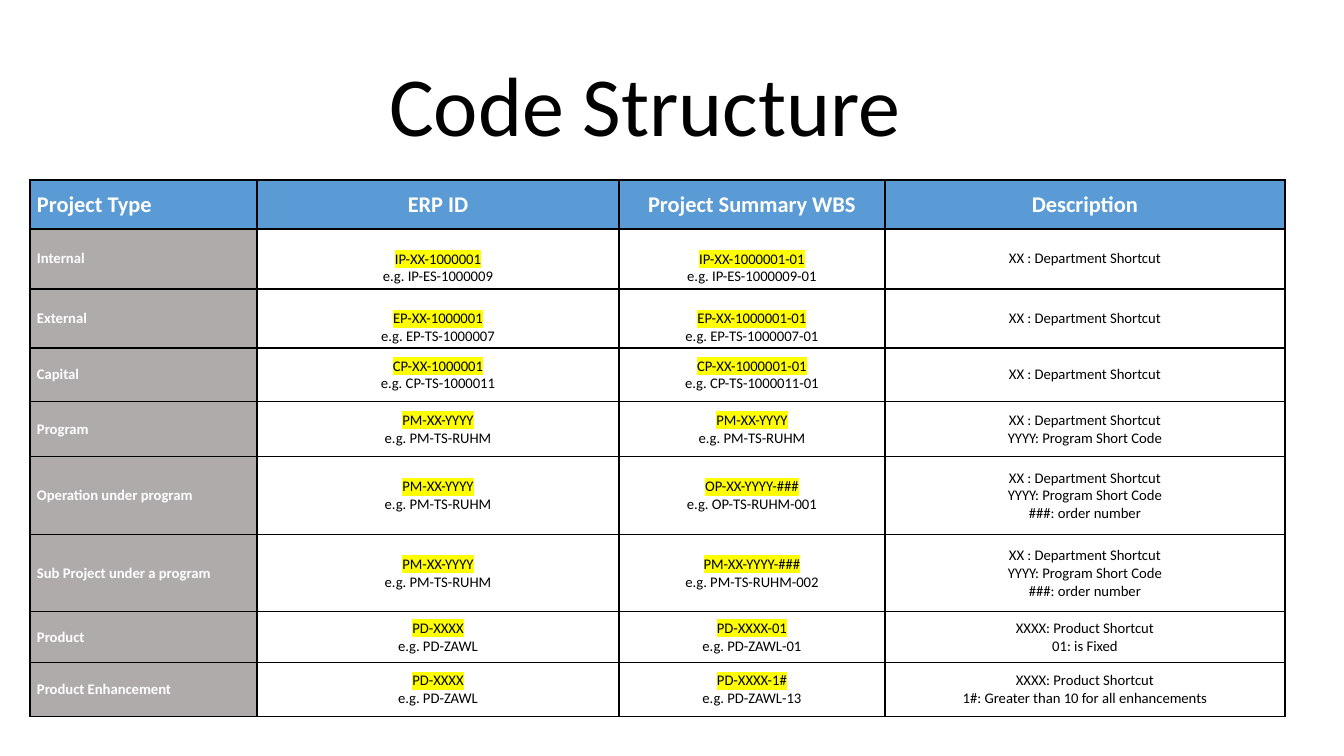
"""Build the Code Structure slide with its table of project codes."""
from lxml.etree import SubElement
from pptx import Presentation
from pptx.dml.color import RGBColor
from pptx.enum.text import MSO_ANCHOR as Anchor, MSO_AUTO_SIZE as AutoSize, PP_ALIGN as Align
from pptx.oxml.ns import qn
from pptx.util import Emu, Pt

BLACK = RGBColor(0x00, 0x00, 0x00)
WHITE = RGBColor(0xFF, 0xFF, 0xFF)
BLUE = RGBColor(0x5B, 0x9B, 0xD5)
GREY = RGBColor(0xAF, 0xAB, 0xAB)
YELLOW = RGBColor(0xFF, 0xFF, 0x00)

FONT = "Calibri"
SIDE_INSET = 7
LINE_HEIGHT = 18
COLUMN_WIDTHS = [227, 362, 266, 400]
ROW_HEIGHTS = [49, 60, 59, 54, 55, 78, 77, 51, 54]

HEADINGS = ["Project Type", "ERP ID", "Project Summary WBS", "Description"]
DEPARTMENT = "XX : Department Shortcut"
PROGRAM = "YYYY: Program Short Code"
ORDER = "###: order number"
PRODUCT = "XXXX: Product Shortcut"
PROJECTS = [
    ("Internal", ["IP-XX-1000001", "e.g. IP-ES-1000009"],
     ["IP-XX-1000001-01", "e.g. IP-ES-1000009-01"], [DEPARTMENT]),
    ("External", ["EP-XX-1000001", "e.g. EP-TS-1000007"],
     ["EP-XX-1000001-01", "e.g. EP-TS-1000007-01"], [DEPARTMENT]),
    ("Capital", ["CP-XX-1000001", "e.g. CP-TS-1000011"],
     ["CP-XX-1000001-01", "e.g. CP-TS-1000011-01"], [DEPARTMENT]),
    ("Program", ["PM-XX-YYYY", "e.g. PM-TS-RUHM"],
     ["PM-XX-YYYY", "e.g. PM-TS-RUHM"], [DEPARTMENT, PROGRAM]),
    ("Operation under program", ["PM-XX-YYYY", "e.g. PM-TS-RUHM"],
     ["OP-XX-YYYY-###", "e.g. OP-TS-RUHM-001"], [DEPARTMENT, PROGRAM, ORDER]),
    ("Sub Project under a program", ["PM-XX-YYYY", "e.g. PM-TS-RUHM"],
     ["PM-XX-YYYY-###", "e.g. PM-TS-RUHM-002"], [DEPARTMENT, PROGRAM, ORDER]),
    ("Product", ["PD-XXXX", "e.g. PD-ZAWL"],
     ["PD-XXXX-01", "e.g. PD-ZAWL-01"], [PRODUCT, "01: is Fixed"]),
    ("Product Enhancement", ["PD-XXXX", "e.g. PD-ZAWL"],
     ["PD-XXXX-1#", "e.g. PD-ZAWL-13"],
     [PRODUCT, "1#: Greater than 10 for all enhancements"]),
]
LOWERED_PROJECTS = {"Internal", "External"}


def px(length):
    """Turn a length in px into EMU."""
    return Emu(round(length * 914400 / 100.8))


def add_span(para, text, size, color, bold=False):
    """Add one formatted run to a paragraph."""
    span = para.add_run()
    span.text = text
    span.font.size = Pt(size)
    span.font.bold = bold
    span.font.name = FONT
    span.font.color.rgb = color
    return span


def highlight(span):
    """Mark a run in yellow."""
    fill = span.font._element.find(qn("a:solidFill"))
    mark = SubElement(span.font._element, qn("a:highlight"))
    SubElement(mark, qn("a:srgbClr"), val=str(YELLOW))
    fill.addnext(mark)


def add_borders(cell):
    """Draw a thin black line on all four sides of a cell."""
    properties = cell._tc.get_or_add_tcPr()
    for index, side in enumerate(("a:lnL", "a:lnR", "a:lnT", "a:lnB")):
        line = SubElement(properties, qn(side), w=str(Pt(1)))
        fill = SubElement(line, qn("a:solidFill"))
        SubElement(fill, qn("a:srgbClr"), val=str(BLACK))
        properties.insert(index, line)


def fill_cell(cell, lines, size=10.5, color=BLACK, bold=False, align=Align.CENTER,
              fill=None, marked=False, top=0):
    """Write the lines of a cell, marking the first one if asked."""
    cell.vertical_anchor = Anchor.MIDDLE
    cell.margin_left = cell.margin_right = px(SIDE_INSET)
    cell.margin_top, cell.margin_bottom = px(top), 0
    if fill is None:
        cell.fill.background()
    else:
        cell.fill.solid()
        cell.fill.fore_color.rgb = fill
    add_borders(cell)
    frame = cell.text_frame
    for index, text in enumerate(lines):
        para = frame.add_paragraph() if index else frame.paragraphs[0]
        para.alignment = align
        span = add_span(para, text, size, color, bold)
        if marked and index == 0:
            highlight(span)


def add_title(page, text):
    """Place and format the slide title."""
    title = page.shapes.title
    title.left, title.top, title.width, title.height = px(379), px(47), px(537), px(112)
    frame = title.text_frame
    frame.word_wrap = False
    frame.auto_size = AutoSize.SHAPE_TO_FIT_TEXT
    para = frame.paragraphs[0]
    para.alignment = Align.LEFT
    add_span(para, text, 60, BLACK)


def add_code_table(page):
    """Add the table of project types and their codes."""
    frame = page.shapes.add_table(len(ROW_HEIGHTS), len(COLUMN_WIDTHS), px(30), px(180),
                                  px(sum(COLUMN_WIDTHS)), px(sum(ROW_HEIGHTS)))
    table = frame.table
    table.first_row = table.horz_banding = False
    for column, width in zip(table.columns, COLUMN_WIDTHS):
        column.width = px(width)
    for row, height in zip(table.rows, ROW_HEIGHTS):
        row.height = px(height)
    for index, heading in enumerate(HEADINGS):
        fill_cell(table.cell(0, index), [heading], 16, WHITE, True,
                  Align.CENTER if index else Align.LEFT, BLUE)
    for row, (kind, code, summary, description) in enumerate(PROJECTS, 1):
        top = LINE_HEIGHT if kind in LOWERED_PROJECTS else 0
        fill_cell(table.cell(row, 0), [kind], color=WHITE, bold=True,
                  align=Align.LEFT, fill=GREY)
        fill_cell(table.cell(row, 1), code, marked=True, top=top)
        fill_cell(table.cell(row, 2), summary, marked=True, top=top)
        fill_cell(table.cell(row, 3), description)


def main():
    """Build and save the deck."""
    deck = Presentation()
    deck.slide_width, deck.slide_height = px(1344), px(756)
    page = deck.slides.add_slide(deck.slide_layouts[5])
    add_code_table(page)
    add_title(page, "Code Structure")
    deck.save("out.pptx")


if __name__ == "__main__":
    main()
